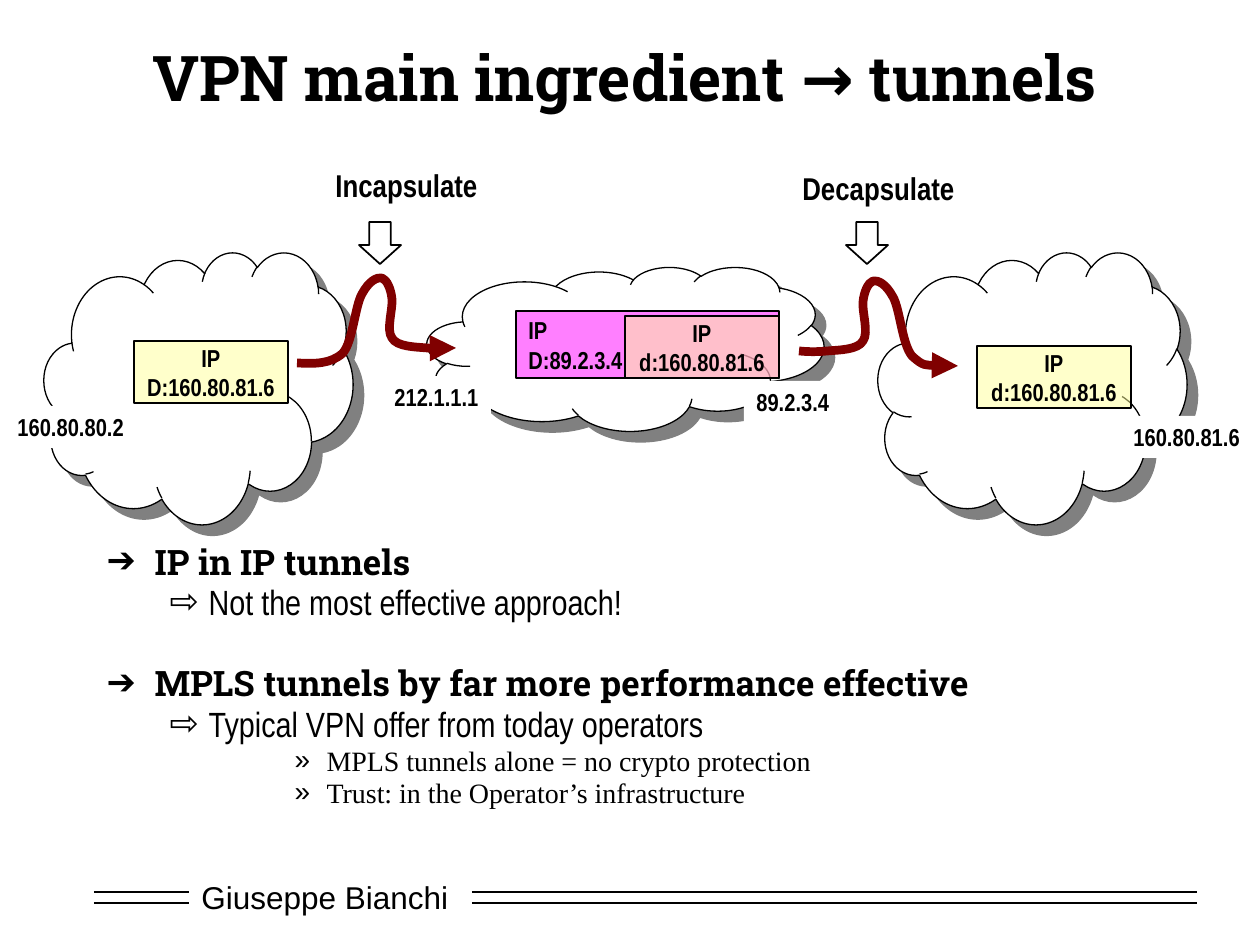
from lxml.etree import SubElement
from pptx import Presentation
from pptx.dml.color import RGBColor
from pptx.enum.shapes import MSO_CONNECTOR, MSO_SHAPE
from pptx.enum.text import MSO_ANCHOR as Anchor, MSO_AUTO_SIZE as AutoSize, PP_ALIGN as Align
from pptx.oxml.ns import qn
from pptx.util import Emu, Pt

EMU_PER_PX = 914400 / 126
COLORS = {
    "ink": "000000",
    "paper": "FFFFFF",
    "inner": "FFFF99",
    "outer": "FF00FF",
    "route": "800000",
    "shadow": "808080",
}
NARROW = "Arial Narrow"
SLAB = "Roboto Slab"
CLOUDS = [(44, 252, 309, 272), (878, 252, 309, 272)]
TRANSIT_CLOUD = (427, 267, 397, 164)
ROUTE = [
    (297, 363), (315, 364), (331, 364), (343, 353), (353, 341), (355, 306), (362, 294),
    (369, 281), (377, 277), (382, 278), (387, 280), (391, 289), (392, 299),
    (393, 309), (386, 330), (392, 338), (397, 347), (416, 347), (427, 348),
    (437, 349), (447, 349), (456, 348),
]
MIRROR_SUM, MIRROR_DROP = 1255, 3
# level: (indent, hanging, bullet, font, size, bold)
LEVELS = {
    0: (48, 48, "➔", SLAB, 20, True),
    1: (102, 39, "⇨", NARROW, 20, False),
    3: (220, 32, "»", "Times New Roman", 16, False),
}
OUTLINE = [
    (0, "IP in IP tunnels", 0),
    (1, "Not the most effective approach!", None),
    (0, "MPLS tunnels by far more performance effective", 27),
    (1, "Typical VPN offer from today operators", None),
    (3, "MPLS tunnels alone = no crypto protection", None),
    (3, "Trust: in the Operator’s infrastructure", None),
]


def px(value):
    """Turn pixels into EMU."""
    return Emu(round(value * EMU_PER_PX))


def color(name):
    """Look up a named colour."""
    return RGBColor.from_string(COLORS[name])


def write(paragraph, text, font=NARROW, size=14, bold=True, align=None):
    """Put formatted text into a paragraph."""
    paragraph.text = text
    paragraph.alignment = align
    for run in paragraph.runs:
        run.font.name = font
        run.font.size = Pt(size)
        run.font.bold = bold
        run.font.color.rgb = color("ink")


def place(shape, left, top, width, height):
    """Move and resize a shape."""
    shape.left, shape.top, shape.width, shape.height = map(px, (left, top, width, height))


def add_shape(slide, kind, box, fill="paper", line=1.0, opacity=None):
    """Add a flat preset shape, with no outline if line is zero."""
    shape = slide.shapes.add_shape(kind, *map(px, box))
    shape.shadow.inherit = False
    shape.fill.solid()
    shape.fill.fore_color.rgb = color(fill)
    if opacity:
        tint = shape.fill._xPr.find(".//" + qn("a:srgbClr"))
        SubElement(tint, qn("a:alpha"), val=str(opacity * 1000))
    if line:
        shape.line.color.rgb = color("ink")
        shape.line.width = Pt(line)
    else:
        shape.line.fill.background()
    return shape


def add_cloud(slide, box):
    """Add a network cloud with a hard grey shadow."""
    cloud = add_shape(slide, MSO_SHAPE.CLOUD, box, line=0.75)
    effects = cloud._element.spPr.find(qn("a:effectLst"))
    shadow = SubElement(effects, qn("a:outerShdw"), dist=str(Pt(8.5)), dir="2700000")
    SubElement(shadow, qn("a:srgbClr"), val=COLORS["shadow"])


def add_packet(slide, box, text, fill="inner", align=Align.CENTER):
    """Add a half-transparent packet with its header text."""
    packet = add_shape(slide, MSO_SHAPE.RECTANGLE, box, fill, opacity=50)
    frame = packet.text_frame
    frame.word_wrap = False
    frame.vertical_anchor = Anchor.MIDDLE
    write(frame.paragraphs[0], text, align=align)


def add_label(slide, box, text, filled=False, **text_format):
    """Add a one-line label, on white if filled."""
    label = slide.shapes.add_textbox(*map(px, box))
    if filled:
        label.fill.solid()
        label.fill.fore_color.rgb = color("paper")
    label.text_frame.word_wrap = False
    label.text_frame.auto_size = AutoSize.SHAPE_TO_FIT_TEXT
    write(label.text_frame.paragraphs[0], text, **text_format)


def add_route(slide, points):
    """Add a curved arrow through cubic Bézier points."""
    builder = slide.shapes.build_freeform(*points[0], scale=EMU_PER_PX)
    builder.add_line_segments(points[1:], close=False)
    route = builder.convert_to_shape()
    outline = route._element.spPr.find(".//" + qn("a:path"))
    segments = outline.findall(qn("a:lnTo"))
    for start in range(0, len(segments), 3):
        curve = SubElement(outline, qn("a:cubicBezTo"))
        for segment in segments[start:start + 3]:
            curve.append(segment[0])
            outline.remove(segment)
    route.shadow.inherit = False
    route.fill.background()
    route.line.color.rgb = color("route")
    route.line.width = Pt(5)
    SubElement(route.line._get_or_add_ln(), qn("a:tailEnd"), type="triangle")


def add_rule(slide, left, right, y):
    """Add a thin horizontal footer line."""
    rule = slide.shapes.add_connector(MSO_CONNECTOR.STRAIGHT, px(left), px(y), px(right), px(y))
    rule.line.color.rgb = color("ink")
    rule.line.width = Pt(1)
    SubElement(rule._element.spPr, qn("a:effectLst"))


def fill_title(title):
    """Place and write the title."""
    place(title, 94, 32, 1061, 89)
    title.text_frame.auto_size = AutoSize.NONE
    title.text_frame.vertical_anchor = Anchor.MIDDLE
    write(title.text_frame.paragraphs[0], "VPN main ingredient → tunnels",
          font=SLAB, size=36, align=Align.CENTER)


def fill_body(body):
    """Place the body and write the bulleted outline."""
    place(body, 94, 542, 1126, 328)
    frame = body.text_frame
    frame.auto_size = AutoSize.NONE
    for index, (level, text, space) in enumerate(OUTLINE):
        paragraph = frame.add_paragraph() if index else frame.paragraphs[0]
        indent, hanging, bullet, font, size, bold = LEVELS[level]
        properties = paragraph._p.get_or_add_pPr()
        properties.set("marL", str(px(indent)))
        properties.set("indent", str(px(-hanging)))
        tint = SubElement(properties, qn("a:buClr"))
        SubElement(tint, qn("a:srgbClr"), val=COLORS["ink"])
        SubElement(properties, qn("a:buChar"), char=bullet)
        paragraph.level = level
        paragraph.line_spacing = 0.8
        if space is not None:
            paragraph.space_before = Pt(space)
        write(paragraph, text, font=font, size=size, bold=bold)


def main():
    """Build and save the slide."""
    presentation = Presentation()
    presentation.slide_width, presentation.slide_height = px(1260), px(945)
    slide = presentation.slides.add_slide(presentation.slide_layouts[1])
    fill_title(slide.shapes.title)
    fill_body(slide.placeholders[1])
    add_label(slide, (189, 872, 273, 50), "Giuseppe Bianchi", filled=True,
              font="Arial", size=18, bold=False)
    for y in (892, 903):
        add_rule(slide, 94, 189, y)
        add_rule(slide, 472, 1197, y)

    add_cloud(slide, TRANSIT_CLOUD)
    add_packet(slide, (516, 311, 263, 67), "IP\nD:89.2.3.4", "outer", Align.LEFT)
    for box in CLOUDS:
        add_cloud(slide, box)
    add_packet(slide, (134, 341, 154, 62), "IP\nD:160.80.81.6")
    add_route(slide, ROUTE)
    add_route(slide, [(MIRROR_SUM - x, y + MIRROR_DROP) for x, y in reversed(ROUTE)])
    for left in (359, 846):
        arrow = add_shape(slide, MSO_SHAPE.DOWN_ARROW, (left, 222, 42, 42))
        arrow.adjustments[0], arrow.adjustments[1] = 0.51, 0.45
    add_label(slide, (323, 160, 167, 50), "Incapsulate", size=18)
    add_label(slide, (790, 163, 177, 50), "Decapsulate", size=18)
    for box, address in (
        ((5, 406, 132, 42), "160.80.80.2"),
        ((1121, 416, 132, 42), "160.80.81.6"),
        ((382, 376, 109, 42), "212.1.1.1"),
        ((744, 381, 98, 42), "89.2.3.4"),
    ):
        add_label(slide, box, address, filled=True)
    for left, top in ((977, 346), (625, 316)):
        add_packet(slide, (left, top, 154, 62), "IP\nd:160.80.81.6")
    presentation.save("out.pptx")


if __name__ == "__main__":
    main()
